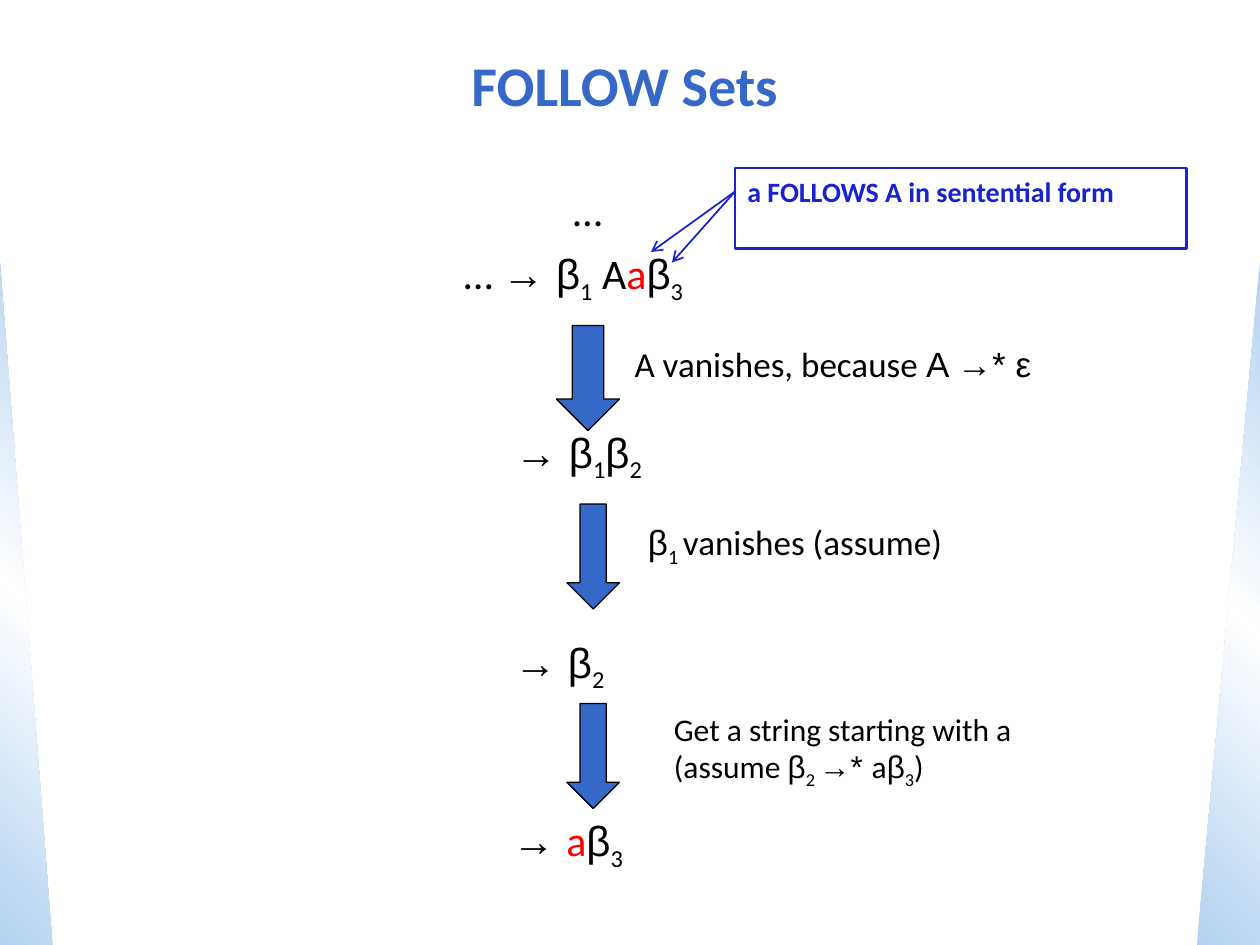
from copy import deepcopy
from typing import NamedTuple

from lxml import etree
from pptx import Presentation
from pptx import util as u
from pptx.dml.color import RGBColor
from pptx.enum import shapes, text
from pptx.oxml.ns import qn

BLUE = RGBColor(0x35, 0x68, 0xC7)
NAVY = RGBColor(0x18, 0x22, 0xCD)
PALE = RGBColor(0xB3, 0xD1, 0xF0)
WHITE = RGBColor(0xFF, 0xFF, 0xFF)
BLACK = RGBColor(0, 0, 0)
RED = RGBColor(0xFF, 0, 0)
SANS = "Calibri"
GREEK = "Arial"


class Box(NamedTuple):
    left: float
    top: float
    width: float
    height: float


class Run(NamedTuple):
    text: str
    font: str = SANS
    color: RGBColor = BLACK
    sub: bool = False


class Label(NamedTuple):
    box: Box
    size: int
    runs: list[Run]
    indent: float = 0


def greek(words: str) -> Run:
    return Run(words, font=GREEK)


def sub(words: str) -> Run:
    return Run(words, sub=True)


def beta(index: str) -> list[Run]:
    return [greek("β"), sub(index)]


def place(box: Box) -> list[int]:
    return [u.Pt(side) for side in box]


def write(frame, runs: list[Run], *, size: int, bold: bool = False,
          align=text.PP_ALIGN.LEFT, anchor=text.MSO_ANCHOR.TOP,
          indent: float = 0) -> None:
    frame.word_wrap = True
    frame.vertical_anchor = anchor
    frame.margin_left = u.Pt(7.2 + indent)
    para = frame.paragraphs[0]
    para.alignment = align
    for part in runs:
        run = para.add_run()
        run.text = part.text
        font = run.font
        font.name, font.size, font.bold = part.font, u.Pt(size), bold
        font.color.rgb = part.color
        if part.sub:
            run._r.get_or_add_rPr().set("baseline", "-25000")


def label(slide, item: Label) -> None:
    frame = slide.shapes.add_textbox(*place(item.box)).text_frame
    write(frame, item.runs, size=item.size, indent=item.indent)


def wedge(slide, box: Box, angle: int, flip: bool) -> None:
    shape = slide.shapes.add_shape(shapes.MSO_SHAPE.RIGHT_TRIANGLE, *place(box))
    shape.shadow.inherit = False
    shape.line.fill.background()
    fill = shape.fill
    fill.gradient()
    fill.gradient_angle = angle
    first = shape.element.spPr.find(".//" + qn("a:gs"))
    first.addnext(deepcopy(first))
    for stop, color, spot in zip(fill.gradient_stops, (PALE, WHITE, PALE), (0, 0.5, 1)):
        stop.color.rgb = color
        stop.position = spot
    if flip:
        shape.element.spPr.find(qn("a:xfrm")).set("flipH", "1")


def arrow(slide, box: Box) -> None:
    shape = slide.shapes.add_shape(shapes.MSO_SHAPE.DOWN_ARROW, *place(box))
    shape.shadow.inherit = False
    shape.fill.solid()
    shape.fill.fore_color.rgb = BLUE
    shape.line.color.rgb = BLACK
    shape.line.width = u.Pt(0.75)


def pointer(slide, start: tuple[float, float], end: tuple[float, float]) -> None:
    line = slide.shapes.add_connector(
        shapes.MSO_CONNECTOR.STRAIGHT, *[u.Pt(n) for n in (*start, *end)])
    line.line.color.rgb = NAVY
    line.line.width = u.Pt(1)
    etree.SubElement(line.line._get_or_add_ln(), qn("a:tailEnd"), type="arrow")
    etree.SubElement(line.element.spPr, qn("a:effectLst"))


def callout(slide, box: Box, words: str) -> None:
    shape = slide.shapes.add_shape(shapes.MSO_SHAPE.RECTANGLE, *place(box))
    shape.shadow.inherit = False
    shape.fill.background()
    shape.line.color.rgb = NAVY
    shape.line.width = u.Pt(1.5)
    write(shape.text_frame, [Run(words, color=NAVY)], size=16, bold=True)


WEDGES = [(Box(0, 150, 30, 390), 225, False), (Box(684, 150, 36, 390), 135, True)]
ARROWS = [Box(318, 186, 36, 60), Box(324, 288, 30, 60), Box(324, 402, 30, 60)]
FORMS = [
    Label(Box(320.4, 102, 33, 36), 24, [Run("…")]),
    Label(Box(258, 138, 168, 40), 24,
          [Run("… "), greek("→ "), *beta("1"), Run(" A"), Run("a", color=RED), *beta("3")]),
    Label(Box(265.5, 240, 126, 40), 24, [greek("→ "), *beta("1"), *beta("2")], 21.7),
    Label(Box(265, 360, 105, 40), 24, [greek("→ "), *beta("2")], 21.7),
    Label(Box(264, 462, 118, 40), 24,
          [greek("→ "), Run("a", color=RED), *beta("3")], 21.7),
]
NOTES = [
    Label(Box(355.5, 192, 276, 32), 20, [Run("A vanishes, because "), greek("A →* ε")]),
    Label(Box(358.5, 294, 212, 35), 20, [*beta("1 "), Run("vanishes (assume)")], 4.5),
    Label(Box(378, 402, 228, 53), 18,
          [Run("Get a string starting with a (assume "), *beta("2 "), greek("→* "),
           Run("a"), *beta("3"), Run(")")]),
]
ORIGIN = (420, 109.5)
TARGETS = [(384, 150), (372, 144)]


def main() -> None:
    deck = Presentation()
    deck.slide_width, deck.slide_height = u.Pt(720), u.Pt(540)
    slide = deck.slides.add_slide(deck.slide_layouts[6])
    for box, angle, flip in WEDGES:
        wedge(slide, box, angle, flip)
    title = slide.shapes.add_textbox(*place(Box(18, 18, 678, 60)))
    write(title.text_frame, [Run("FOLLOW Sets", color=BLUE)], size=32, bold=True,
          align=text.PP_ALIGN.CENTER, anchor=text.MSO_ANCHOR.MIDDLE)
    for box in ARROWS:
        arrow(slide, box)
    for item in FORMS + NOTES:
        label(slide, item)
    callout(slide, Box(420, 96, 258, 46), "a FOLLOWS A in sentential form")
    for target in TARGETS:
        pointer(slide, ORIGIN, target)
    deck.save("out.pptx")


if __name__ == "__main__":
    main()
